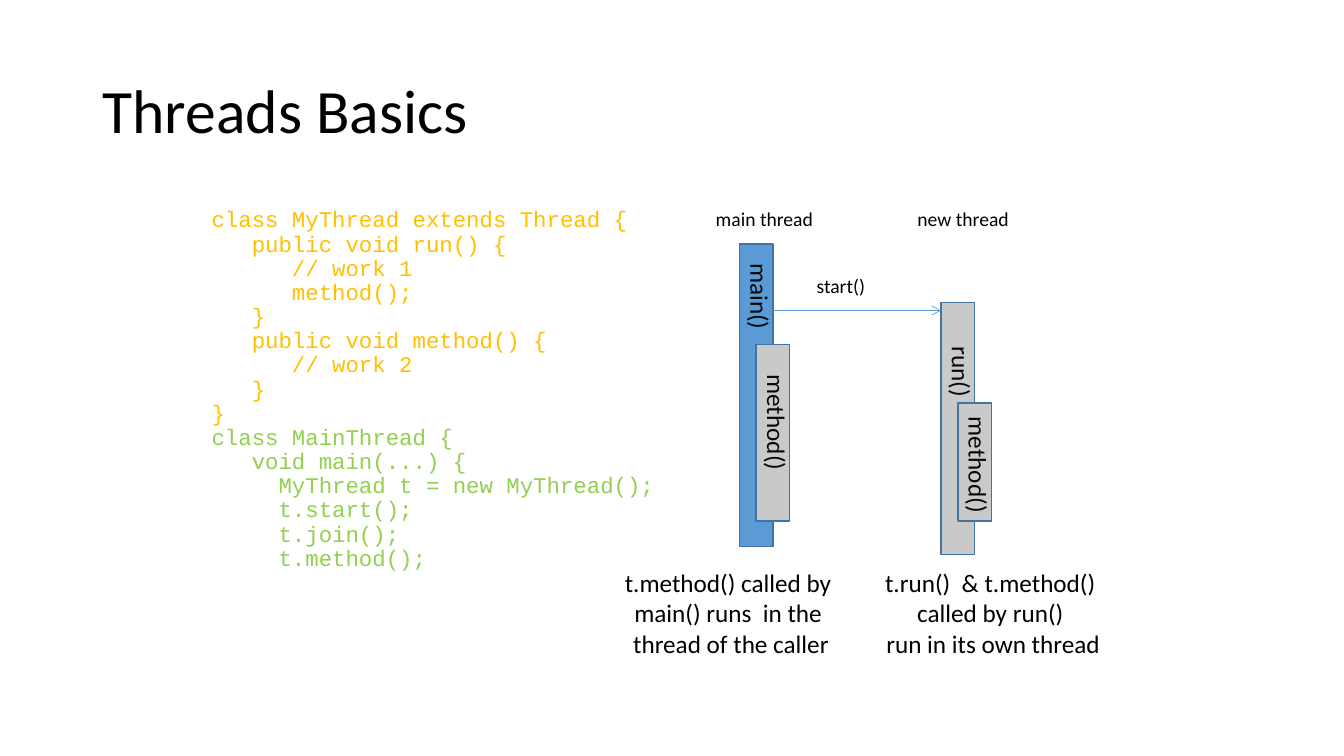
from dataclasses import dataclass

from lxml.etree import SubElement
from pptx import Presentation
from pptx.dml.color import RGBColor
from pptx.enum.shapes import MSO_CONNECTOR, MSO_SHAPE
from pptx.enum.text import MSO_ANCHOR, PP_ALIGN
from pptx.oxml.ns import qn
from pptx.util import Inches, Pt


@dataclass(frozen=True)
class Theme:
    body_font: str = "Calibri"
    code_font: str = "Courier New"
    title_size: int = 44
    text_size: int = 18
    code_size: int = 16
    label_size: int = 14
    text: str = "000000"
    bar_text: str = "07080B"
    thread_code: str = "FFC000"
    main_code: str = "92D050"
    blue: str = "5B9BD5"
    gray: str = "C9C9C9"
    outline: str = "43739E"


THEME = Theme()
BAR_WIDTH = 1 / 3

THREAD_CODE = """class MyThread extends Thread {
   public void run() {
      // work 1
      method();
   }
   public void method() {
      // work 2
   }
}"""
MAIN_CODE = """class MainThread {
   void main(...) {
     MyThread t = new MyThread();
     t.start();
     t.join();
     t.method();"""


def add_text(slide, box, lines, size, color=THEME.text, font=THEME.body_font,
             align=PP_ALIGN.LEFT, spacing=1.0, anchor=MSO_ANCHOR.TOP, wrap=True):
    """Add a text box; color is one value or a list with one per line."""
    shape = slide.shapes.add_textbox(*map(Inches, box))
    frame = shape.text_frame
    frame.word_wrap = wrap
    frame.vertical_anchor = anchor
    colors = [color] * len(lines) if isinstance(color, str) else color
    for index, (line, line_color) in enumerate(zip(lines, colors)):
        paragraph = frame.paragraphs[0] if index == 0 else frame.add_paragraph()
        for name, value in {"alignment": align, "line_spacing": spacing}.items():
            setattr(paragraph, name, value)
        run = paragraph.add_run()
        run.text = line
        for name, value in {"name": font, "size": Pt(size)}.items():
            setattr(run.font, name, value)
        run.font.color.rgb = RGBColor.from_string(line_color)
    return shape


def add_title(slide, box):
    add_text(slide, box, ["Threads Basics"], THEME.title_size,
             spacing=0.9, anchor=MSO_ANCHOR.MIDDLE)


def add_code(slide, box):
    thread_lines, main_lines = THREAD_CODE.split("\n"), MAIN_CODE.split("\n")
    colors = ([THEME.thread_code] * len(thread_lines)
              + [THEME.main_code] * len(main_lines))
    add_text(slide, box, thread_lines + main_lines, THEME.code_size, colors,
             THEME.code_font, spacing=0.9)


def add_bar(slide, left, top, height, fill):
    bar = slide.shapes.add_shape(
        MSO_SHAPE.RECTANGLE, *map(Inches, (left, top, BAR_WIDTH, height)))
    bar.shadow.inherit = False
    bar.fill.solid()
    bar.fill.fore_color.rgb = RGBColor.from_string(fill)
    bar.line.color.rgb = RGBColor.from_string(THEME.outline)
    bar.line.width = Pt(1)


def add_bar_label(slide, left, middle, width, text):
    """Add a label turned a quarter, centred on the bar that starts at left."""
    height = 0.4
    center = left + BAR_WIDTH / 2 + 0.04
    box = (center - width / 2, middle - height / 2, width, height)
    label = add_text(slide, box, [text], THEME.text_size, THEME.bar_text,
                     align=PP_ALIGN.CENTER, wrap=False)
    label.rotation = 90


def add_arrow(slide, start, end, y):
    arrow = slide.shapes.add_connector(
        MSO_CONNECTOR.STRAIGHT, *map(Inches, (start, y, end, y)))
    arrow.line.color.rgb = RGBColor.from_string(THEME.blue)
    arrow.line.width = Pt(0.5)
    SubElement(arrow.line._get_or_add_ln(), qn("a:tailEnd"), type="arrow")
    SubElement(arrow._element.spPr, qn("a:effectLst"))


def add_sequence(slide, box):
    """Draw both threads; bars are (column, top, height, fill, label, middle, width)."""
    left, top, width, height = box
    column_gap = 2
    main_left = left + BAR_WIDTH
    new_left = main_left + column_gap
    nested = BAR_WIDTH / 2

    for column, name in enumerate(("main thread", "new thread")):
        add_text(slide, (left + column * column_gap, top, 1.25, 0.34), [name],
                 THEME.label_size)

    bars = [
        (main_left, 0.42, 3, THEME.blue, "main()", 0.94, 0.88),
        (main_left + nested, 1.42, 1.75, THEME.gray, "method()", 2.19, 1.18),
        (new_left, 1, 2.5, THEME.gray, "run()", 1.69, 0.71),
        (new_left + nested, 2, 1.17, THEME.gray, "method()", 2.61, 1.18),
    ]
    for bar_left, offset, bar_height, fill, label, middle, label_width in bars:
        add_bar(slide, bar_left, top + offset, bar_height, fill)
        add_bar_label(slide, bar_left, top + middle, label_width, label)

    add_arrow(slide, main_left + BAR_WIDTH, new_left, top + 1.08)
    add_text(slide, (left + 1, top + 0.67, 1.25, 0.34), ["start()"],
             THEME.label_size)


def add_captions(slide, box):
    left, top, width, height = box
    caption_width = 2.36
    captions = [
        (left, ["t.method() called by ", "main() runs  in the ",
                "thread of the caller"]),
        (left + width - caption_width,
         ["t.run()  & t.method() ", "called by run() ", "run in its own thread"]),
    ]
    for caption_left, lines in captions:
        add_text(slide, (caption_left, top, caption_width, height), lines,
                 THEME.text_size, align=PP_ALIGN.CENTER, wrap=False)


def main():
    presentation = Presentation()
    presentation.slide_width = Inches(13.33)
    presentation.slide_height = Inches(7.5)
    slide = presentation.slides.add_slide(presentation.slide_layouts[6])
    add_title(slide, (0.92, 0.4, 11.5, 1.45))
    add_code(slide, (2, 2.02, 4.92, 4.9))
    add_sequence(slide, (7, 2, 3.25, 3.5))
    add_captions(slide, (6.07, 5.58, 4.96, 1.01))
    presentation.save("out.pptx")


if __name__ == "__main__":
    main()
